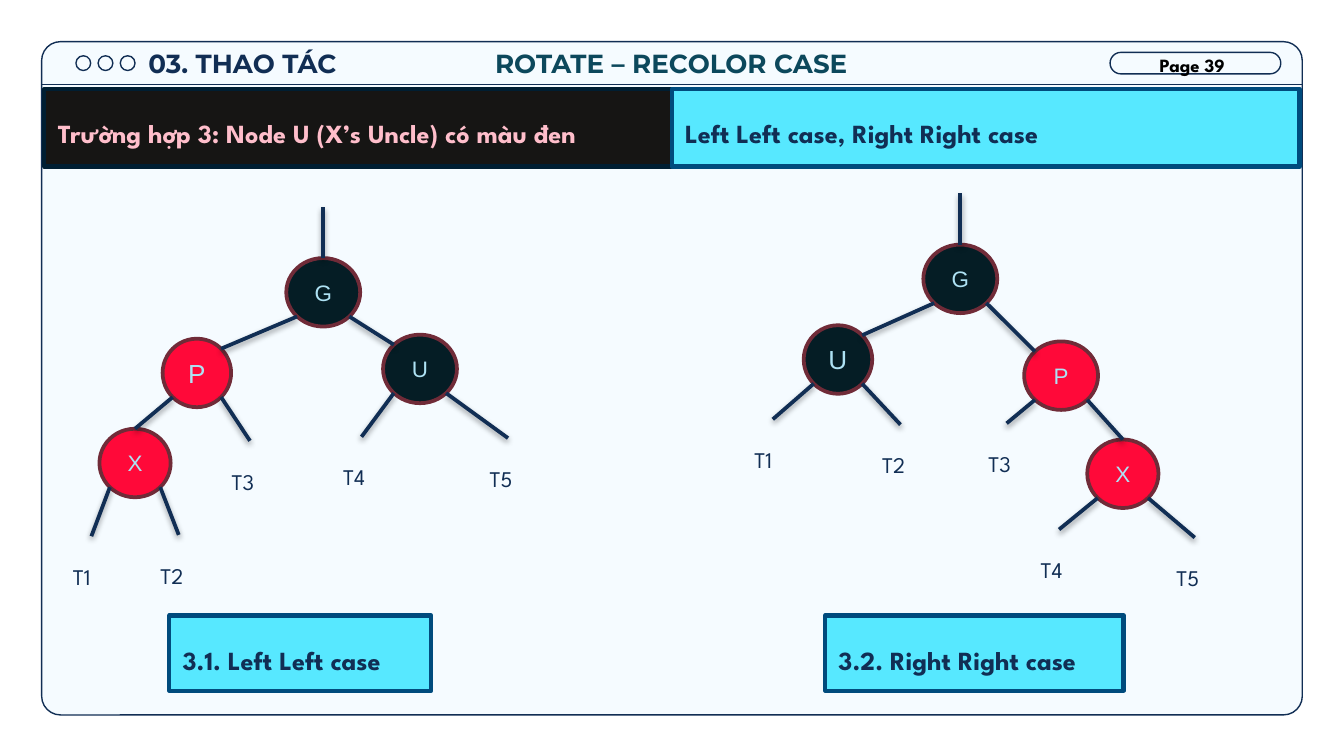
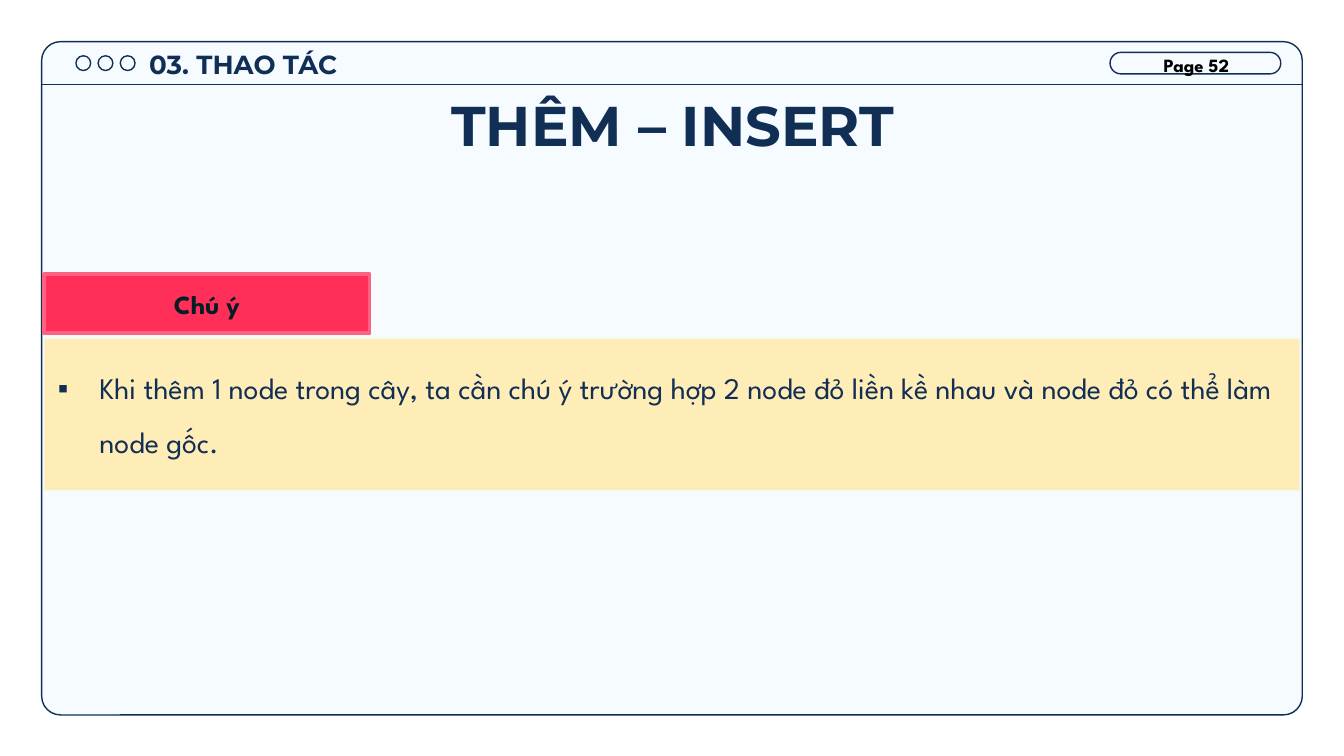
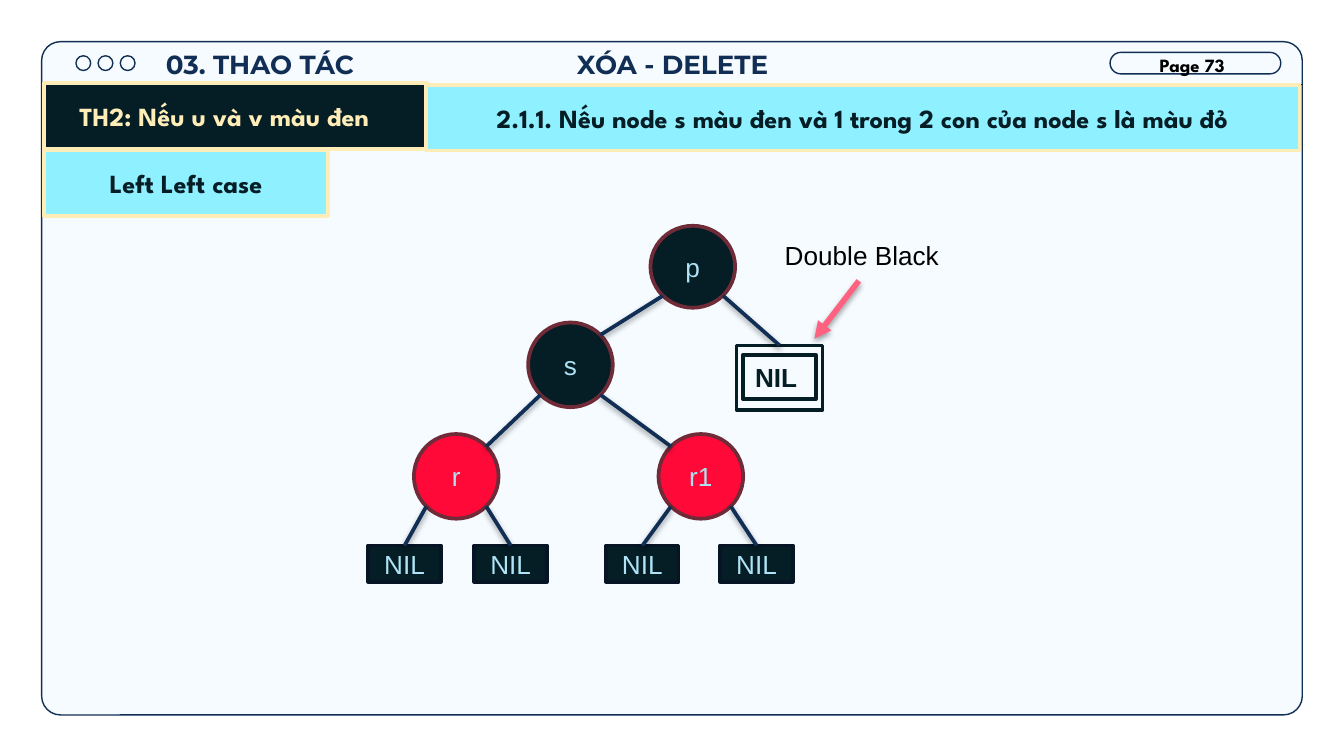
from lxml import etree
from pptx import Presentation
from pptx.dml.color import RGBColor
from pptx.enum.shapes import MSO_CONNECTOR, MSO_SHAPE
from pptx.enum.text import MSO_ANCHOR, MSO_AUTO_SIZE, PP_ALIGN
from pptx.oxml import parse_xml
from pptx.oxml.ns import nsdecls, qn
from pptx.util import Inches, Pt

# The grid has 100 columns and 56.25 rows of square cells.
CELL = Inches(0.1)
COLUMNS, ROWS = 100, 56.25

NAVY = RGBColor(0x11, 0x2E, 0x54)
TEAL = RGBColor(0x0C, 0x48, 0x5C)
PAPER = RGBColor(0xF5, 0xFB, 0xFF)
BLACK = RGBColor(0x00, 0x00, 0x00)
NODE_BLACK = RGBColor(0x05, 0x1D, 0x25)
NODE_RED = RGBColor(0xFF, 0x09, 0x39)
NODE_EDGE = RGBColor(0x70, 0x2B, 0x38)
NODE_TEXT = RGBColor(0xAE, 0xE2, 0xF4)
NIL_EDGE = RGBColor(0x07, 0x14, 0x25)
CYAN = RGBColor(0x57, 0xE8, 0xFF)
CYAN_EDGE = RGBColor(0x00, 0x4B, 0x7D)
PALE_CYAN = RGBColor(0x8F, 0xF0, 0xFF)
CREAM = RGBColor(0xFF, 0xED, 0xB8)
CHARCOAL = RGBColor(0x16, 0x15, 0x14)
CHARCOAL_EDGE = RGBColor(0x00, 0x1E, 0x32)
BLUSH = RGBColor(0xFF, 0xBE, 0xCB)
ALERT = RGBColor(0xFF, 0x2F, 0x59)
PINK = RGBColor(0xFF, 0x61, 0x80)

HEADING, BODY, NODE_FONT = "Montserrat", "League Spartan", "Arial"
LEFT, CENTER = PP_ALIGN.LEFT, PP_ALIGN.CENTER
TOP, MIDDLE = MSO_ANCHOR.TOP, MSO_ANCHOR.MIDDLE


def add_box(slide, box, text="", size=14, color=NAVY, font=BODY, bold=True,
            fill=None, line=None, weight=2, kind=MSO_SHAPE.RECTANGLE, placeholder=None,
            align=CENTER, anchor=MIDDLE, inset=0.5, spacing=None, bullet=None):
    """Place a text box, shape or placeholder; box is left, top, width, height in cells."""
    left, top, width, height = (round(value * CELL) for value in box)
    if placeholder is not None:
        shape = placeholder
        shape.left, shape.top, shape.width, shape.height = left, top, width, height
    elif fill is None and line is None:
        shape = slide.shapes.add_textbox(left, top, width, height)
    else:
        shape = slide.shapes.add_shape(kind, left, top, width, height)
        shape.shadow.inherit = False
    if fill is not None:
        shape.fill.solid()
        shape.fill.fore_color.rgb = fill
    else:
        shape.fill.background()
    if line is not None:
        shape.line.color.rgb = line
        shape.line.width = Pt(weight)
    else:
        shape.line.fill.background()
    if not text:
        return shape

    frame = shape.text_frame
    frame.word_wrap = True
    frame.auto_size = MSO_AUTO_SIZE.NONE
    frame.vertical_anchor = anchor
    frame.margin_left = frame.margin_right = CELL
    frame.margin_top = frame.margin_bottom = round(inset * CELL)
    frame.text = text
    paragraph = frame.paragraphs[0]
    paragraph.alignment = align
    paragraph.space_before = Pt(0)
    if spacing:
        paragraph.line_spacing = spacing
    properties = paragraph._p.get_or_add_pPr()
    indent = round(3.1 * CELL) if bullet else 0
    properties.set("marL", str(indent))
    properties.set("indent", str(-indent))
    if bullet:
        bullet_color = etree.SubElement(properties, qn("a:buClr"))
        etree.SubElement(bullet_color, qn("a:srgbClr"), val=str(color))
        etree.SubElement(properties, qn("a:buFont"), typeface=NODE_FONT)
        etree.SubElement(properties, qn("a:buChar"), char=bullet)
    else:
        etree.SubElement(properties, qn("a:buNone"))
    paragraph.font.name = font
    paragraph.font.size = Pt(size)
    paragraph.font.bold = bold
    paragraph.font.color.rgb = color
    return shape


def add_line(slide, start, end, color=NAVY, weight=2, shadow=True, arrow=False):
    points = [round(value * CELL) for value in (*start, *end)]
    connector = slide.shapes.add_connector(MSO_CONNECTOR.STRAIGHT, *points)
    connector.line.color.rgb = color
    connector.line.width = Pt(weight)
    if arrow:
        etree.SubElement(connector.line._get_or_add_ln(), qn("a:tailEnd"), type="triangle")
    effect = (
        '<a:outerShdw blurRad="40000" dist="20000" dir="5400000" rotWithShape="0">'
        '<a:srgbClr val="000000"><a:alpha val="38000"/></a:srgbClr></a:outerShdw>'
    ) if shadow else ""
    properties = connector._element.spPr
    properties.append(parse_xml(f"<a:effectLst {nsdecls('a')}>{effect}</a:effectLst>"))
    return connector


presentation = Presentation()
presentation.slide_width = COLUMNS * CELL
presentation.slide_height = round(ROWS * CELL)
layout = presentation.slide_layouts[1]
for placeholder in list(layout.placeholders)[2:]:
    layout.shapes.element.remove(placeholder.element)
slides = [presentation.slides.add_slide(layout) for _ in range(3)]
rotate_slide, insert_slide, delete_slide = slides

# Window frame, drawn once and moved to the layout
window = add_box(rotate_slide, (3.1, 3.1, 93.8, 50.1), fill=PAPER, line=NAVY, weight=0.75,
                 kind=MSO_SHAPE.ROUNDED_RECTANGLE)
window.adjustments[0] = 0.028
page_pill = add_box(rotate_slide, (82.6, 3.9, 12.7, 1.6), line=NAVY, weight=0.75,
                    kind=MSO_SHAPE.ROUNDED_RECTANGLE)
page_pill.adjustments[0] = 0.5
buttons = [add_box(rotate_slide, (5.65 + 1.65 * index, 4.15, 1.1, 1.1), line=NAVY, weight=0.75,
                   kind=MSO_SHAPE.OVAL) for index in range(3)]
divider = add_line(rotate_slide, (3.1, 6.3), (96.9, 6.3), weight=0.75, shadow=False)
for shape in (window, page_pill, *buttons, divider):
    layout.shapes.element.append(shape.element)

# Header: section, page and title
headers = [
    ("Page 39", 85.3, (9.7, 2.5, 16.7, 4.6), "ROTATE – RECOLOR CASE",
     (29.5, 3.1, 40.9, 3.2), dict(color=TEAL)),
    ("Page 52", 85.6, (9.7, 2.6, 16.8, 4.6), "THÊM – INSERT",
     (7.9, 5.7, 84.3, 6.3), dict(size=30, anchor=TOP, inset=1)),
    ("Page 73", 85.3, (10.7, 2.6, 17.3, 4.6), "XÓA - DELETE",
     (7.9, 2.6, 84.3, 3.9), dict(anchor=TOP, inset=1)),
]
for slide, (page, page_left, section_box, title, title_box, style) in zip(slides, headers):
    add_box(slide, title_box, title, font=HEADING, placeholder=slide.shapes.title, **style)
    add_box(slide, section_box, "03. THAO TÁC", font=HEADING, anchor=TOP, inset=1)
    add_box(slide, (page_left, 3.5, 7.5, 2.7), page, size=10, color=BLACK,
            align=LEFT, anchor=TOP)

# Rotate slide: bands
band_style = dict(align=LEFT, anchor=TOP, inset=1, spacing=1.5, weight=2.25)
add_box(rotate_slide, (3.3, 6.6, 46.7, 5.8), "Trường hợp 3: Node U (X’s Uncle) có màu đen",
        color=BLUSH, fill=CHARCOAL, line=CHARCOAL_EDGE,
        placeholder=rotate_slide.placeholders[1], **band_style)
for box, text in [
    ((50, 6.6, 46.7, 5.8), "Left Left case, Right Right case"),
    ((12.6, 45.8, 19.5, 5.6), "3.1. Left Left case"),
    ((61.4, 45.8, 22.2, 5.6), "3.2. Right Right case"),
]:
    add_box(rotate_slide, box, text, fill=CYAN, line=CYAN_EDGE, **band_style)

# Insert slide: note
add_box(insert_slide, (3.3, 25.2, 93.4, 11.3),
        "Khi thêm 1 node trong cây, ta cần chú ý trường hợp 2 node đỏ liền kề nhau "
        "và node đỏ có thể làm node gốc.",
        size=16, bold=False, fill=CREAM, placeholder=insert_slide.placeholders[1],
        align=LEFT, anchor=TOP, inset=1, spacing=1.5, bullet="▪")
add_box(insert_slide, (3.3, 20.4, 24.2, 4.4), "Chú ý", color=NODE_BLACK, fill=ALERT, line=PINK)

# Delete slide: bands
case_band = add_box(delete_slide, (3.3, 6.2, 28.5, 4.9), "TH2: Nếu u và v màu đen",
                    color=CREAM, fill=NODE_BLACK, line=CREAM,
                    placeholder=delete_slide.placeholders[1])
case_band.text_frame.margin_right = round(2.7 * CELL)
for box, text in [
    ((31.7, 6.3, 65, 4.9), "2.1.1. Nếu node s màu đen và 1 trong 2 con của node s là màu đỏ"),
    ((3.3, 11.2, 21.1, 4.9), "Left Left case"),
]:
    add_box(delete_slide, box, text, color=NODE_BLACK, fill=PALE_CYAN, line=CREAM)

# Trees: circles (box, fill, text size), NIL boxes (left), leaf ends, branches (-1 left, 1 right)
trees = [
    (rotate_slide,
     {"G": ((21.3, 19.2, 5.5, 5.1), NODE_BLACK, 12),
      "P": ((12.1, 25.2, 5.1, 5.1), NODE_RED, 14),
      "U": ((28.5, 24.9, 5.5, 5.1), NODE_BLACK, 12),
      "X": ((7.4, 31.9, 5.3, 5.1), NODE_RED, 12)},
     {},
     {"T1": (6.8, 39.9), "T2": (13.3, 39.8), "T3": (18.6, 32.8),
      "T4": (26.9, 32.5), "T5": (37.8, 32.6)},
     [("G", -1, "P"), ("G", 1, "U"), ("P", -1, "X"), ("P", 1, "T3"),
      ("U", -1, "T4"), ("U", 1, "T5"), ("X", -1, "T1"), ("X", 1, "T2")]),
    (rotate_slide,
     {"G": ((68.7, 18.2, 5.5, 5.1), NODE_BLACK, 12),
      "U": ((59.8, 24.2, 5.1, 5.1), NODE_BLACK, 14),
      "P": ((76.2, 25.4, 5.5, 5.1), NODE_RED, 12),
      "X": ((80.9, 32.7, 5.3, 5.1), NODE_RED, 12)},
     {},
     {"T1": (57.5, 31.2), "T2": (67, 31.6), "T3": (74.9, 31.5),
      "T4": (78.8, 39.4), "T5": (88.9, 40)},
     [("G", -1, "U"), ("G", 1, "P"), ("U", -1, "T1"), ("U", 1, "T2"),
      ("P", -1, "T3"), ("P", 1, "X"), ("X", -1, "T4"), ("X", 1, "T5")]),
    (delete_slide,
     {"p": ((48.4, 16.8, 6.3, 6.1), NODE_BLACK, 14),
      "s": ((39.3, 24, 6.3, 6.3), NODE_BLACK, 14),
      "r": ((30.8, 32.3, 6.3, 6.3), NODE_RED, 14),
      "r1": ((49, 32.3, 6.3, 6.3), NODE_RED, 14)},
     {"NIL 1": 27.4, "NIL 2": 35.3, "NIL 3": 45.1, "NIL 4": 53.6},
     {},
     [("p", -1, "s"), ("s", -1, "r"), ("s", 1, "r1"), ("r", -1, "NIL 1"), ("r", 1, "NIL 2"),
      ("r1", -1, "NIL 3"), ("r1", 1, "NIL 4")]),
]
DIAGONAL = 0.3536  # share of a circle's size from its centre to its 45° point
for slide, circles, nil_boxes, leaves, branches in trees:
    nodes, corners = {}, {}
    for name, (box, fill, size) in circles.items():
        nodes[name] = add_box(slide, box, name, size, NODE_TEXT, NODE_FONT, bold=False,
                              fill=fill, line=NODE_EDGE, kind=MSO_SHAPE.FLOWCHART_CONNECTOR)
        left, top, width, height = box
        for side in (-1, 1):
            for level in (-1, 1):
                corners[name, side, level] = (left + width * (0.5 + side * DIAGONAL),
                                              top + height * (0.5 + level * DIAGONAL))
    for name, left in nil_boxes.items():
        nodes[name] = add_box(slide, (left, 40.6, 5.4, 2.7), "NIL", 14, NODE_TEXT, NODE_FONT,
                              bold=False, fill=NODE_BLACK, line=NIL_EDGE)
    for name, (x, y) in leaves.items():
        add_box(slide, (x - 2.35, y, 4.7, 4.4), name, 12, bold=False,
                align=LEFT, anchor=TOP, inset=1, spacing=1.5)
    for parent, side, child in branches:
        start = corners[parent, side, 1]
        if child in leaves:
            add_line(slide, start, leaves[child])
        elif child in nil_boxes or child == "X":
            add_line(slide, start, start).end_connect(nodes[child], 0)
        else:
            add_line(slide, start, corners[child, -side, -1])
    if "G" in circles:
        left, top, width, _ = circles["G"][0]
        trunk_x = left + width / 2
        add_line(slide, (trunk_x, top), (trunk_x, top - 3.8)).begin_connect(nodes["G"], 0)

# Double black node
add_box(delete_slide, (54.7, 26.7, 6.1, 2.7), "NIL", color=NODE_BLACK, font=NODE_FONT)
add_box(delete_slide, (55.3, 26.4, 5.4, 3.3), line=NODE_BLACK)
outer_frame = add_box(delete_slide, (54.8, 25.7, 6.4, 4.8), line=NODE_BLACK)
add_line(delete_slide, (53.8, 22), (58, 25.7)).end_connect(outer_frame, 0)
add_box(delete_slide, (57.4, 17.3, 14, 3.4), "Double Black", color=BLACK, font=NODE_FONT,
        bold=False, align=LEFT, anchor=TOP)
add_line(delete_slide, (63.9, 20.9), (60.6, 25.2), color=PINK, weight=3, arrow=True)

presentation.save("out.pptx")
